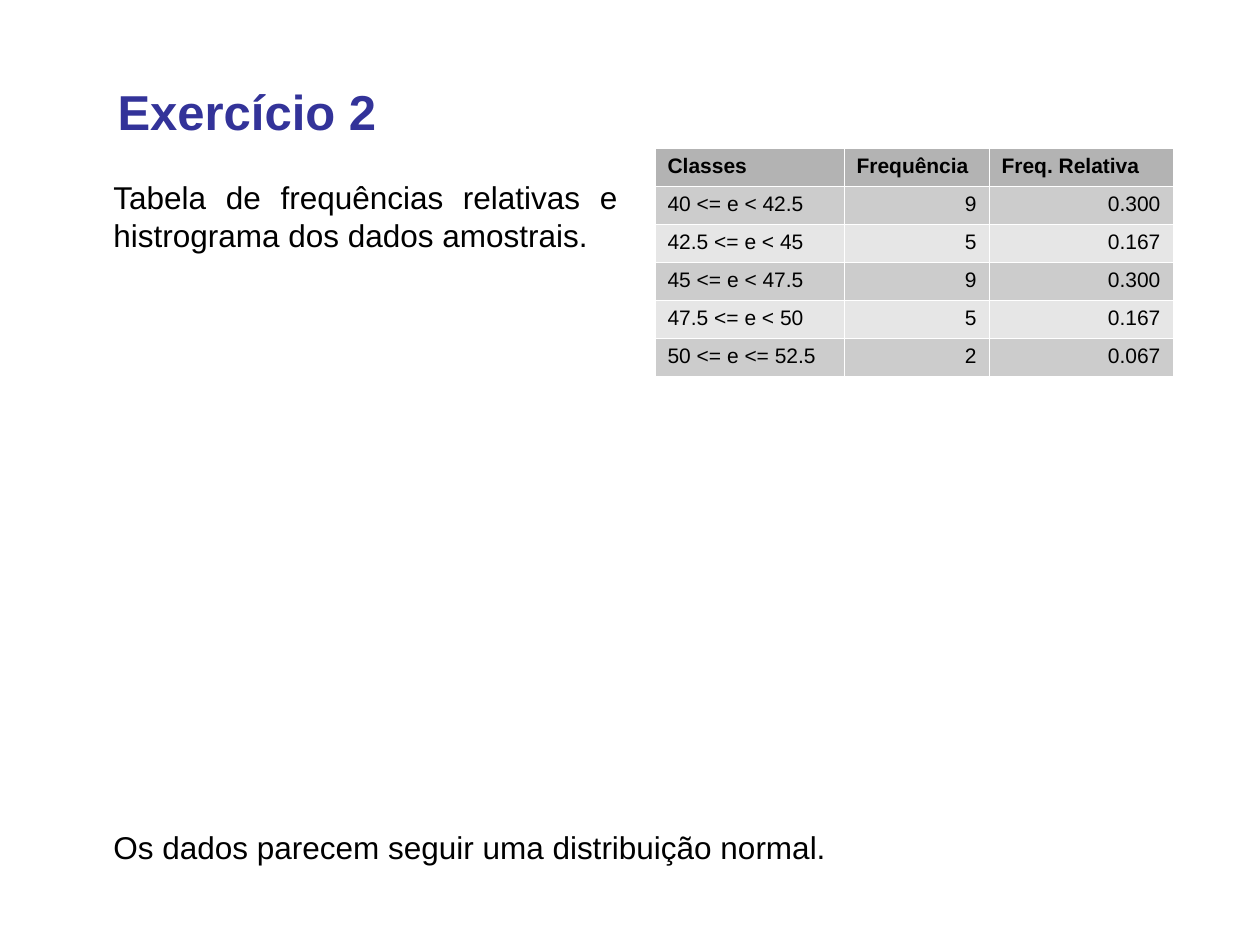
from dataclasses import dataclass

from lxml.etree import SubElement
from pptx import Presentation
from pptx.dml.color import RGBColor
from pptx.enum.text import MSO_ANCHOR, MSO_AUTO_SIZE, PP_ALIGN
from pptx.oxml.ns import qn
from pptx.util import Pt

SCALE = 914400 / 126


@dataclass(frozen=True)
class Theme:
    font: str = "Arial"
    title: str = "333399"
    text: str = "000000"
    header: str = "B3B3B3"
    odd_row: str = "CCCCCC"
    even_row: str = "E6E6E6"
    border: str = "FFFFFF"
    title_size: int = 28
    body_size: int = 18
    table_size: int = 12


theme = Theme()


def px(length):
    return round(length * SCALE)


def add_span(para, text, size, color=theme.text, bold=False):
    span = para.add_run()
    span.text = text
    span.font.name = theme.font
    span.font.size = Pt(size)
    span.font.bold = bold
    span.font.color.rgb = RGBColor.from_string(color)


deck = Presentation()
deck.slide_width, deck.slide_height = px(1260), px(945)
page = deck.slides.add_slide(deck.slide_layouts[5])

# Title
title = page.shapes.title
title.left, title.top, title.width, title.height = px(105), px(71), px(1072), px(79)
title.text_frame.vertical_anchor = MSO_ANCHOR.MIDDLE
title.text_frame.auto_size = MSO_AUTO_SIZE.NONE
para = title.text_frame.paragraphs[0]
para.alignment = PP_ALIGN.LEFT
add_span(para, "Exercício 2", theme.title_size, theme.title, bold=True)

# Body texts
statements = [
    (172, 529, 126, "Tabela de frequências relativas e histrograma dos dados amostrais."),
    (822, 1058, 65, "Os dados parecem seguir uma distribuição normal."),
]
for top, width, height, text in statements:
    box = page.shapes.add_textbox(px(101), px(top), px(width), px(height))
    box.text_frame.word_wrap = True
    para = box.text_frame.paragraphs[0]
    para.alignment = PP_ALIGN.JUSTIFY
    add_span(para, text, theme.body_size)

# Frequency table
frequency_rows = [
    ("Classes", "Frequência", "Freq. Relativa"),
    ("40 <= e < 42.5", "9", "0.300"),
    ("42.5 <= e < 45", "5", "0.167"),
    ("45 <= e < 47.5", "9", "0.300"),
    ("47.5 <= e < 50", "5", "0.167"),
    ("50 <= e <= 52.5", "2", "0.067"),
]
column_widths = [189, 145, 184]
row_height = 38
table = page.shapes.add_table(
    len(frequency_rows), len(column_widths), px(655), px(148),
    px(sum(column_widths)), px(row_height * len(frequency_rows)),
).table
for column, width in zip(table.columns, column_widths):
    column.width = px(width)

for row_index, values in enumerate(frequency_rows):
    is_header = row_index == 0
    if is_header:
        fill = theme.header
    else:
        fill = theme.odd_row if row_index % 2 else theme.even_row
    for column_index, value in enumerate(values):
        cell = table.cell(row_index, column_index)
        para = cell.text_frame.paragraphs[0]
        if column_index and not is_header:
            para.alignment = PP_ALIGN.RIGHT
        add_span(para, value, theme.table_size, bold=is_header)
        # Borders must precede the fill in the cell properties
        properties = cell._tc.get_or_add_tcPr()
        for side in ("a:lnL", "a:lnR", "a:lnT", "a:lnB"):
            line = SubElement(properties, qn(side), w=str(Pt(0.06)))
            solid = SubElement(line, qn("a:solidFill"))
            SubElement(solid, qn("a:srgbClr"), val=theme.border)
        cell.fill.solid()
        cell.fill.fore_color.rgb = RGBColor.from_string(fill)

deck.save("out.pptx")
